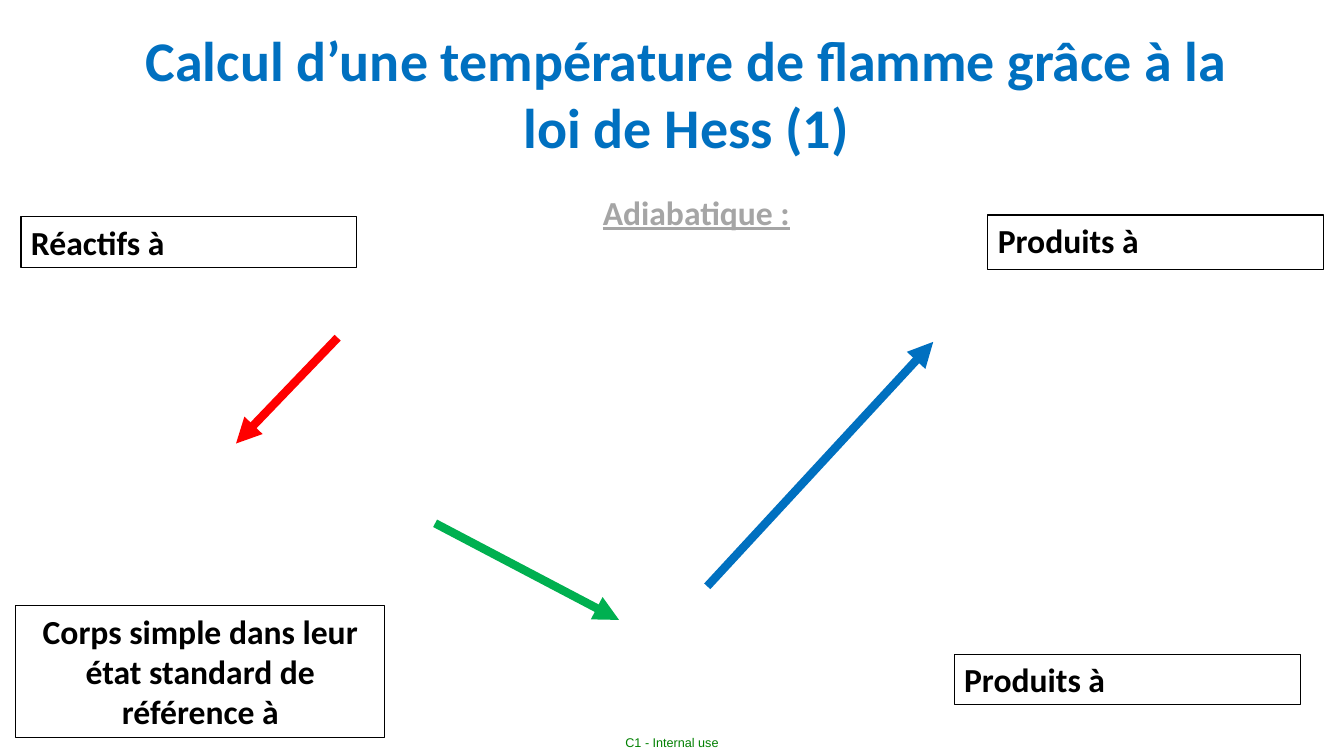
from lxml import etree
from pptx import Presentation, util as u
from pptx.dml.color import RGBColor
from pptx.enum import shapes, text
from pptx.oxml import ns

BLACK = RGBColor(0x00, 0x00, 0x00)
BLUE = RGBColor(0x00, 0x70, 0xC0)
RED = RGBColor(0xFF, 0x00, 0x00)
GREEN = RGBColor(0x00, 0xB0, 0x50)
GREY = RGBColor(0xA5, 0xA5, 0xA5)
DARK_GREEN = RGBColor(0x00, 0x80, 0x00)

COLUMNS, ROWS = 160, 90
LEFT, CENTER = text.PP_ALIGN.LEFT, text.PP_ALIGN.CENTER


def write(frame, words, size=24, color=BLACK, font="Calibri", bold=True,
          underline=False, align=CENTER, anchor=text.MSO_ANCHOR.TOP):
    """Put one formatted paragraph in a text frame."""
    frame.word_wrap = True
    frame.vertical_anchor = anchor
    para = frame.paragraphs[0]
    para.alignment = align
    span = para.add_run()
    span.text = words
    span.font.name = font
    span.font.size = u.Pt(size)
    span.font.bold = bold
    span.font.underline = underline
    span.font.color.rgb = color


class HessSlide:
    """Slide with a grid of square cells and the diagram's line widths."""
    border = u.Pt(0.75)
    arrow_width = u.Pt(6)

    def __init__(self, deck):
        self.page = deck.slides.add_slide(deck.slide_layouts[6])
        self.column = deck.slide_width / COLUMNS
        self.row = deck.slide_height / ROWS

    def grid(self, *lengths):
        """Turn alternating columns and rows into slide lengths."""
        cells = (self.column, self.row) * 2
        return [u.Emu(round(n * cell)) for n, cell in zip(lengths, cells)]

    def label(self, place, words, inset=True, **style):
        frame = self.page.shapes.add_textbox(*self.grid(*place)).text_frame
        if not inset:
            frame.margin_left = frame.margin_right = 0
            frame.margin_top = frame.margin_bottom = 0
        write(frame, words, **style)

    def state(self, place, words, **style):
        box = self.page.shapes.add_shape(
            shapes.MSO_SHAPE.RECTANGLE, *self.grid(*place))
        box.shadow.inherit = False
        box.fill.background()
        box.line.color.rgb = BLACK
        box.line.width = self.border
        write(box.text_frame, words, **style)

    def arrow(self, ends, color):
        arrow = self.page.shapes.add_connector(
            shapes.MSO_CONNECTOR.STRAIGHT, *self.grid(*ends))
        arrow.line.color.rgb = color
        arrow.line.width = self.arrow_width
        line = arrow.line._get_or_add_ln()
        etree.SubElement(line, ns.qn("a:tailEnd"), type="triangle")
        etree.SubElement(arrow._element.spPr, ns.qn("a:effectLst"))


deck = Presentation()
deck.slide_width, deck.slide_height = u.Inches(13.33), u.Inches(7.5)
slide = HessSlide(deck)

# Title, process and classification
slide.label((13.7, 2.4, 136, 17.4),
            "Calcul d’une température de flamme grâce à la loi de Hess (1)",
            size=40, color=BLUE)
slide.label((70.3, 22.2, 25.2, 6), "Adiabatique :", color=GREY, underline=True)
slide.label((72.5, 86.9, 15, 3.1), "C1 - Internal use", inset=False, size=9,
            color=DARK_GREEN, font="Arial", bold=False,
            anchor=text.MSO_ANCHOR.MIDDLE)

# States of the cycle
for place, words, align in (
        ((2.5, 25.8, 40, 6), "Réactifs à", LEFT),
        ((117.6, 25.6, 40, 6.5), "Produits à", LEFT),
        ((113.6, 77.9, 41.2, 6), "Produits à", LEFT),
        ((1.9, 72.1, 43.9, 15.7),
         "Corps simple dans leur état standard de référence à", CENTER)):
    slide.state(place, words, align=align)

# Steps between states
for ends, color in (
        ((40.2, 40.2, 28.1, 52.8), RED),
        ((51.8, 62.3, 73.7, 73.8), GREEN),
        ((84.2, 69.8, 111.1, 40.7), BLUE)):
    slide.arrow(ends, color)

deck.save("out.pptx")
